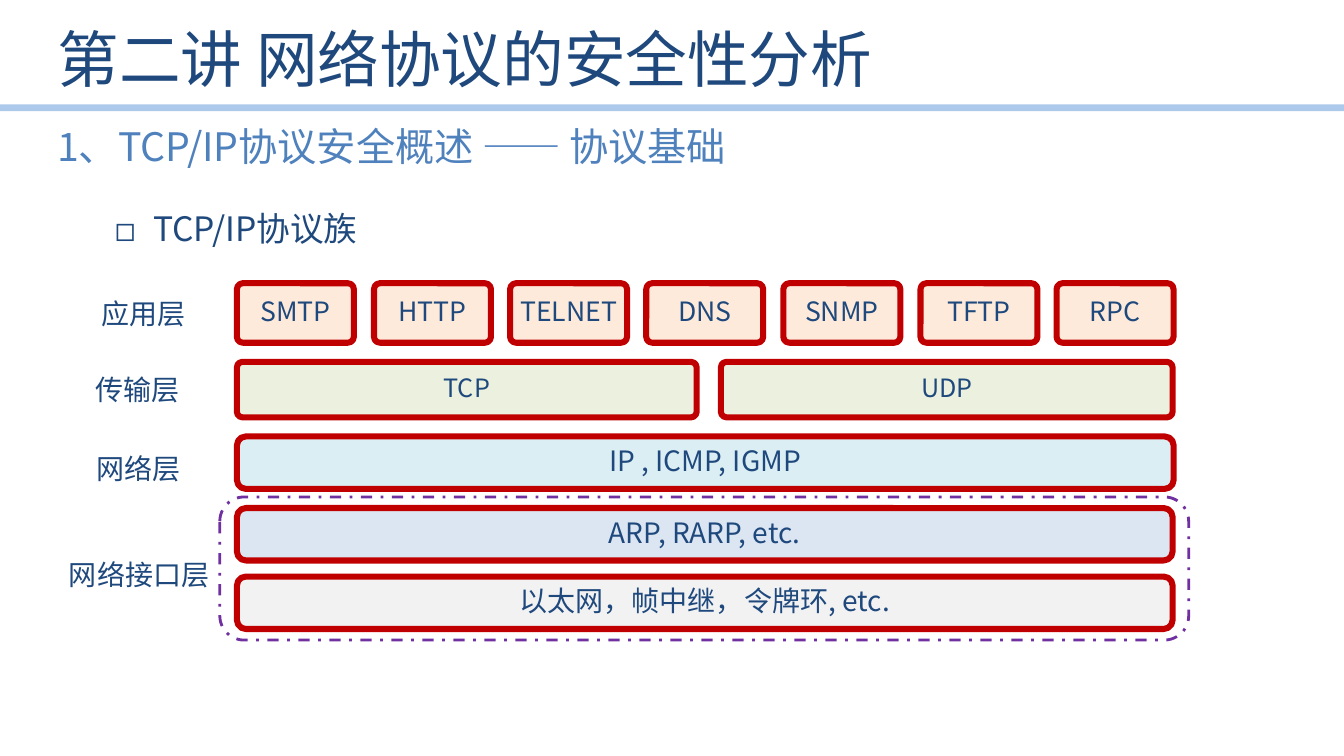
from dataclasses import dataclass

from lxml.etree import SubElement
from pptx import Presentation
from pptx.dml.color import RGBColor
from pptx.enum.dml import MSO_LINE
from pptx.enum.shapes import MSO_CONNECTOR, MSO_SHAPE
from pptx.enum.text import MSO_ANCHOR, MSO_AUTO_SIZE, PP_ALIGN
from pptx.oxml.ns import qn
from pptx.shapes.autoshape import Shape
from pptx.slide import Slide
from pptx.text.text import TextFrame
from pptx.util import Emu, Pt

FONT = "Noto Sans CJK SC"
COLORS = {
    "navy": "1F497D",
    "blue": "4F81BD",
    "rule": "8EB4E3",
    "border": "C00000",
    "group": "7030A0",
    "application": "FDEADA",
    "transport": "EBF1DE",
    "network": "DBEEF4",
    "resolution": "DCE6F2",
    "link": "F2F2F2",
}


@dataclass(frozen=True)
class Box:
    left: int
    top: int
    width: int
    height: int


@dataclass(frozen=True)
class Protocol:
    text: str
    box: Box
    fill: str
    size: int
    corner: float


@dataclass(frozen=True)
class Layer:
    text: str
    box: Box


APPLICATIONS = ["SMTP", "HTTP", "TELNET", "DNS", "SNMP", "TFTP", "RPC"]
APPLICATION_SPAN = 813  # from the first left edge to the last

PROTOCOLS = [
    Protocol(name, Box(235 + round(i * APPLICATION_SPAN / (len(APPLICATIONS) - 1)), 281, 116, 59),
             "application", 19, 0.1)
    for i, name in enumerate(APPLICATIONS)
] + [
    Protocol("TCP", Box(235, 359, 456, 55), "transport", 18, 0.1),
    Protocol("UDP", Box(715, 359, 448, 55), "transport", 18, 0.1),
    Protocol("IP , ICMP, IGMP", Box(235, 433, 929, 52), "network", 20, 0.17),
    Protocol("ARP, RARP, etc.", Box(235, 504, 928, 52), "resolution", 20, 0.17),
    Protocol("以太网，帧中继，令牌环, etc.", Box(235, 572, 928, 52), "link", 20, 0.17),
]

LAYERS = [
    Layer("应用层", Box(73, 289, 139, 44)),
    Layer("传输层", Box(67, 364, 139, 44)),
    Layer("网络层", Box(64, 443, 147, 44)),
    Layer("网络接口层", Box(42, 548, 192, 44)),
]


def px(length: int) -> Emu:
    """Turn px, 100 to the inch, into EMU."""
    return Emu(length * 9144)


def area(box: Box) -> tuple[Emu, Emu, Emu, Emu]:
    return px(box.left), px(box.top), px(box.width), px(box.height)


def color(name: str) -> RGBColor:
    return RGBColor.from_string(COLORS[name])


def write(frame: TextFrame, text: str, *, size: int, ink: str = "navy",
          align: PP_ALIGN = PP_ALIGN.LEFT, anchor: MSO_ANCHOR = MSO_ANCHOR.MIDDLE,
          spacing: float = 1.0, level: int = 0) -> None:
    frame.word_wrap = True
    frame.auto_size = MSO_AUTO_SIZE.NONE
    frame.vertical_anchor = anchor
    paragraph = frame.paragraphs[0]
    paragraph.level = level
    paragraph.alignment = align
    paragraph.line_spacing = spacing
    paragraph.space_before = Pt(0)
    run = paragraph.add_run()
    run.text = text
    run.font.size = Pt(size)
    run.font.name = FONT
    run.font.color.rgb = color(ink)
    SubElement(run.font._element, qn("a:ea"), typeface=FONT)


def place(placeholder: Shape, box: Box) -> None:
    placeholder.left, placeholder.top, placeholder.width, placeholder.height = area(box)


def add_bullet(frame: TextFrame, symbol: str, left: int, hanging: int) -> None:
    properties = frame.paragraphs[0]._p.get_or_add_pPr()
    properties.set("marL", str(px(left)))
    properties.set("indent", str(-px(hanging)))
    SubElement(properties, qn("a:buFont"), typeface=FONT)
    SubElement(properties, qn("a:buChar"), char=symbol)


def add_rule(slide: Slide, top: int, width: int) -> None:
    """Draw the translucent line under the title."""
    rule = slide.shapes.add_connector(MSO_CONNECTOR.STRAIGHT, 0, px(top), px(width), px(top))
    rule.line.width = Pt(4.75)
    rule.line.color.rgb = color("rule")
    tint = rule.line._ln.find(".//" + qn("a:srgbClr"))
    SubElement(tint, qn("a:alpha"), val="73000")
    SubElement(rule._element.spPr, qn("a:effectLst"))


def add_rounded(slide: Slide, box: Box, corner: float, line: str, weight: float) -> Shape:
    shape = slide.shapes.add_shape(MSO_SHAPE.ROUNDED_RECTANGLE, *area(box))
    shape.shadow.inherit = False
    shape.adjustments[0] = corner
    shape.line.color.rgb = color(line)
    shape.line.width = Pt(weight)
    return shape


def add_protocol(slide: Slide, protocol: Protocol) -> None:
    shape = add_rounded(slide, protocol.box, protocol.corner, "border", 4.33)
    shape.fill.solid()
    shape.fill.fore_color.rgb = color(protocol.fill)
    frame = shape.text_frame
    frame.margin_left = frame.margin_right = px(5)
    write(frame, protocol.text, size=protocol.size, align=PP_ALIGN.CENTER, spacing=0.9)


def add_layer(slide: Slide, layer: Layer) -> None:
    label = slide.shapes.add_textbox(*area(layer.box))
    write(label.text_frame, layer.text, size=20, align=PP_ALIGN.CENTER)


def main() -> None:
    deck = Presentation()
    deck.slide_width, deck.slide_height = px(1333), px(750)
    slide = deck.slides.add_slide(deck.slide_layouts[1])
    add_rule(slide, 107, 1333)

    title, topic = slide.shapes.title, slide.placeholders[1]
    place(title, Box(47, 9, 1102, 97))
    write(title.text_frame, "第二讲 网络协议的安全性分析", size=44)

    place(topic, Box(54, 197, 1228, 449))
    add_bullet(topic.text_frame, "◻", left=88, hanging=38)
    write(topic.text_frame, "TCP/IP协议族", size=24, anchor=MSO_ANCHOR.TOP, spacing=1.1, level=1)

    section = slide.shapes.add_textbox(*area(Box(47, 121, 706, 57)))
    section.text_frame.margin_top = px(9)
    write(section.text_frame, "1、TCP/IP协议安全概述 —— 协议基础", size=28, ink="blue",
          anchor=MSO_ANCHOR.TOP, spacing=0.81)

    for protocol in PROTOCOLS:
        add_protocol(slide, protocol)
    for layer in LAYERS:
        add_layer(slide, layer)

    interface_group = add_rounded(slide, Box(218, 493, 961, 142), 0.17, "group", 2)
    interface_group.fill.background()
    interface_group.line.dash_style = MSO_LINE.DASH_DOT

    deck.save("out.pptx")


if __name__ == "__main__":
    main()
